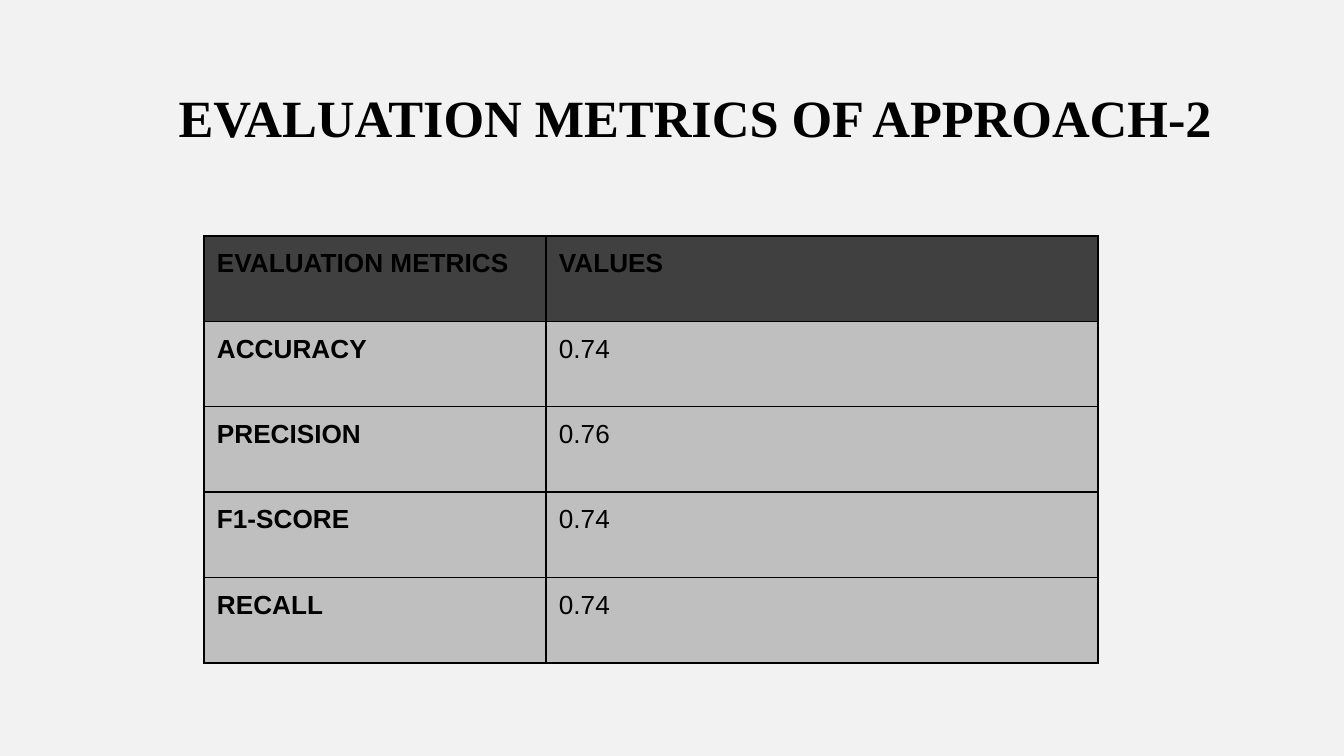
import pptx
import pptx.dml.color
import pptx.enum.text
import pptx.oxml
import pptx.oxml.ns
import pptx.util

EMU_PER_PX = 9144000 / 1344
COLORS = {
    "background": "F2F2F2",
    "text": "000000",
    "border": "000000",
    "header": "404040",
    "body": "BFBFBF",
}
METRICS = [
    ("EVALUATION METRICS", "VALUES"),
    ("ACCURACY", "0.74"),
    ("PRECISION", "0.76"),
    ("F1-SCORE", "0.74"),
    ("RECALL", "0.74"),
]


def px(length):
    return pptx.util.Emu(round(length * EMU_PER_PX))


def color(name):
    return pptx.dml.color.RGBColor.from_string(COLORS[name])


def set_font(paragraph, family, size, bold):
    font = paragraph.font
    font.name = family
    font.size = pptx.util.Pt(size)
    font.bold = bold
    font.color.rgb = color("text")


def add_title(slide, text):
    title = slide.shapes.add_textbox(px(105), px(40), px(1180), px(162))
    frame = title.text_frame
    frame.word_wrap = True
    frame.vertical_anchor = pptx.enum.text.MSO_ANCHOR.MIDDLE
    paragraph = frame.paragraphs[0]
    paragraph.text = text
    paragraph.alignment = pptx.enum.text.PP_ALIGN.CENTER
    paragraph.line_spacing = 0.9
    set_font(paragraph, "Times New Roman", 28, True)


def add_borders(cell):
    properties = cell._tc.get_or_add_tcPr()
    for side in ("lnL", "lnR", "lnT", "lnB"):
        properties.append(pptx.oxml.parse_xml(
            f'<a:{side} {pptx.oxml.ns.nsdecls("a")} w="{pptx.util.Pt(1)}">'
            f'<a:solidFill><a:srgbClr val="{COLORS["border"]}"/></a:solidFill>'
            f'</a:{side}>'))


def fill_cell(cell, text, fill, bold):
    cell.margin_left = cell.margin_right = px(13)
    cell.margin_top = cell.margin_bottom = px(13)
    add_borders(cell)
    cell.fill.solid()
    cell.fill.fore_color.rgb = color(fill)
    paragraph = cell.text_frame.paragraphs[0]
    paragraph.text = text
    set_font(paragraph, "Arial", 14, bold)


def add_metrics_table(slide, rows):
    widths = (342, 552)
    height = px(427)
    table = slide.shapes.add_table(
        len(rows), len(widths), px(204), px(236), px(sum(widths)), height).table
    for column, width in zip(table.columns, widths):
        column.width = px(width)
    for r, values in enumerate(rows):
        table.rows[r].height = height // len(rows)
        for c, text in enumerate(values):
            fill_cell(table.cell(r, c), text,
                      fill="header" if r == 0 else "body",
                      bold=r == 0 or c == 0)


def main():
    presentation = pptx.Presentation()
    presentation.slide_width = px(1344)
    presentation.slide_height = px(756)
    slide = presentation.slides.add_slide(presentation.slide_layouts[6])
    slide.background.fill.solid()
    slide.background.fill.fore_color.rgb = color("background")
    add_title(slide, "EVALUATION METRICS OF APPROACH-2")
    add_metrics_table(slide, METRICS)
    presentation.save("out.pptx")


if __name__ == "__main__":
    main()
